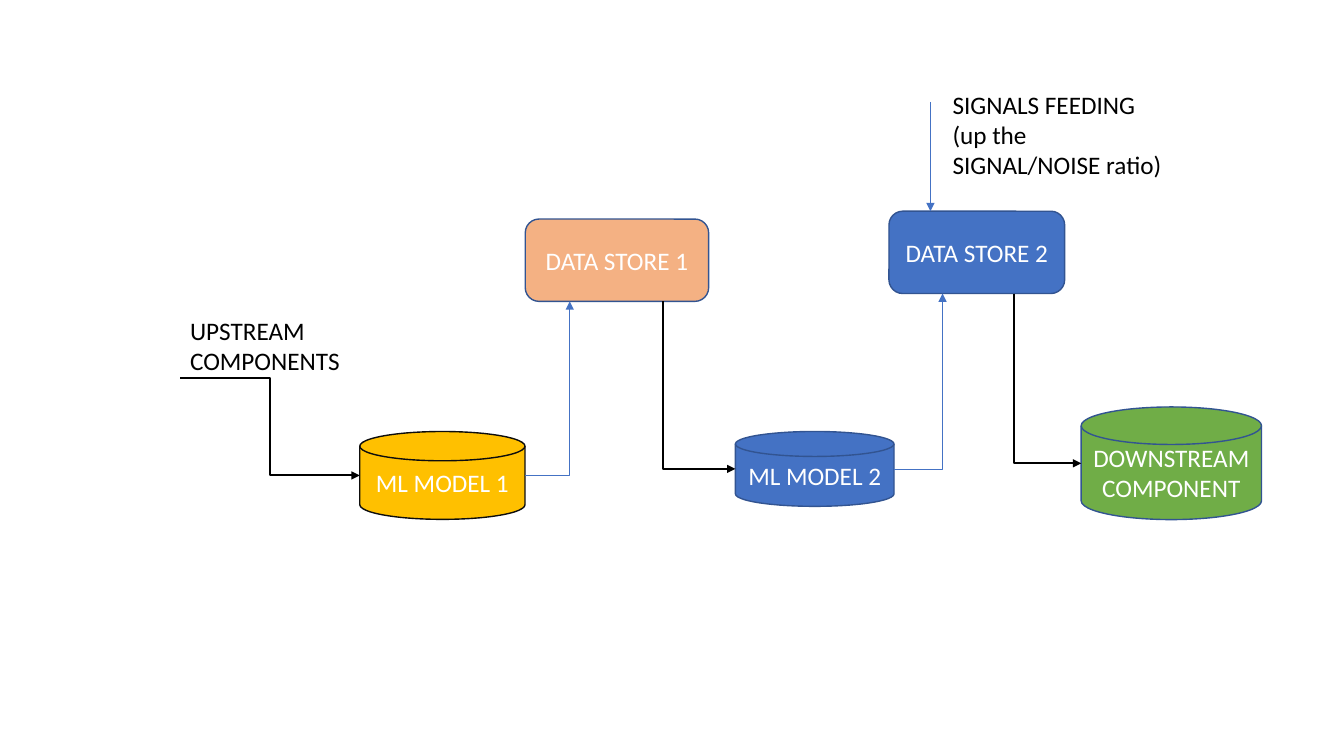
"""Draw the flow of two ML models, their data stores and the connected components."""
from dataclasses import dataclass

from lxml import etree
from pptx import Presentation
from pptx.dml.color import RGBColor
from pptx.enum.shapes import MSO_CONNECTOR, MSO_SHAPE
from pptx.enum.text import MSO_ANCHOR, PP_ALIGN
from pptx.oxml.ns import qn
from pptx.util import Pt

DISK = MSO_SHAPE.FLOWCHART_MAGNETIC_DISK
PROCESS = MSO_SHAPE.FLOWCHART_ALTERNATE_PROCESS
ROUNDED = MSO_SHAPE.ROUNDED_RECTANGLE
STRAIGHT, ELBOW = MSO_CONNECTOR.STRAIGHT, MSO_CONNECTOR.ELBOW
CENTER, LEFT = PP_ALIGN.CENTER, PP_ALIGN.LEFT
MIDDLE, TOP = MSO_ANCHOR.MIDDLE, MSO_ANCHOR.TOP

WHITE = RGBColor(0xFF, 0xFF, 0xFF)
BLACK = RGBColor(0x00, 0x00, 0x00)
INK = RGBColor(0x0D, 0x0D, 0x0D)
BLUE = RGBColor(0x44, 0x72, 0xC4)
NAVY = RGBColor(0x32, 0x54, 0x91)
GOLD = RGBColor(0xFF, 0xC0, 0x00)
PEACH = RGBColor(0xF4, 0xB1, 0x83)
GREEN = RGBColor(0x70, 0xAD, 0x47)

FONT = {"name": "Calibri", "size": Pt(18)}
Point = tuple[float, float]


@dataclass(frozen=True)
class Node:
    """A filled shape with a centred label."""
    lines: tuple[str, ...]
    left: float
    top: float
    width: float
    height: float
    kind: MSO_SHAPE
    fill: RGBColor
    outline: RGBColor = NAVY

    @property
    def middle(self) -> float:
        """Return the vertical middle."""
        return self.top + self.height / 2

    @property
    def bottom(self) -> float:
        """Return the lower edge."""
        return self.top + self.height

    @property
    def left_side(self) -> Point:
        """Return the middle of the left edge."""
        return self.left, self.middle

    @property
    def right_side(self) -> Point:
        """Return the middle of the right edge."""
        return self.left + self.width, self.middle


@dataclass(frozen=True)
class Note:
    """A plain text box."""
    lines: tuple[str, ...]
    left: float
    top: float
    width: float
    height: float


@dataclass(frozen=True)
class Arrow:
    """A connector that ends in a triangle."""
    start: Point
    end: Point
    color: RGBColor
    width: float
    preset: str = "bentConnector2"
    down_first: bool = False


MODEL_1 = Node(("ML MODEL 1",), 257, 308.2, 118, 62.8, DISK, GOLD, INK)
MODEL_2 = Node(("ML MODEL 2",), 525.3, 308.2, 113.3, 53.5, DISK, BLUE)
STORE_1 = Node(("DATA STORE 1",), 375.2, 156.5, 131, 58.8, PROCESS, PEACH)
STORE_2 = Node(("DATA STORE 2",), 635, 150.9, 125.5, 58.8, ROUNDED, BLUE)
DOWNSTREAM = Node(("DOWNSTREAM", "COMPONENT"), 772.3, 290.7, 128.8, 80.5, DISK, GREEN)
NODES = (MODEL_1, MODEL_2, STORE_1, STORE_2, DOWNSTREAM)

NOTES = (
    Note(("UPSTREAM", "COMPONENTS"), 128.7, 221.8, 129, 50.9),
    Note(("SIGNALS FEEDING (up the SIGNAL/NOISE ratio)",), 673.3, 60, 166.5, 72.7),
)
ARROWS = (
    Arrow((128.7, 270), MODEL_1.left_side, BLACK, 1.5, "bentConnector3"),
    Arrow(MODEL_1.right_side, (407, STORE_1.bottom), BLUE, 0.5),
    Arrow((473.3, STORE_1.bottom), MODEL_2.left_side, BLACK, 1.5, down_first=True),
    Arrow(MODEL_2.right_side, (673.3, STORE_2.bottom), BLUE, 0.5),
    Arrow((724.3, STORE_2.bottom), DOWNSTREAM.left_side, BLACK, 1.5, down_first=True),
    Arrow((664.6, 72.8), (664.6, STORE_2.top), BLUE, 0.5, "line"),
)


def write(shape, lines: tuple[str, ...], color: RGBColor, align: PP_ALIGN,
          anchor: MSO_ANCHOR) -> None:
    """Fill the shape with one paragraph a line."""
    frame = shape.text_frame
    frame.word_wrap = True
    frame.vertical_anchor = anchor
    frame.text = "\n".join(lines)
    for para in frame.paragraphs:
        para.alignment = align
        for span in para.runs:
            for key, value in FONT.items():
                setattr(span.font, key, value)
            span.font.color.rgb = color


def draw_node(page, node: Node) -> None:
    """Add one labelled shape."""
    box = page.shapes.add_shape(node.kind, Pt(node.left), Pt(node.top),
                                Pt(node.width), Pt(node.height))
    box.shadow.inherit = False
    box.fill.solid()
    box.fill.fore_color.rgb = node.fill
    box.line.color.rgb = node.outline
    box.line.width = Pt(1)
    write(box, node.lines, WHITE, CENTER, MIDDLE)


def draw_note(page, note: Note) -> None:
    """Add one text box."""
    box = page.shapes.add_textbox(Pt(note.left), Pt(note.top),
                                  Pt(note.width), Pt(note.height))
    write(box, note.lines, BLACK, LEFT, TOP)


def turned(start: Point, end: Point) -> tuple[Point, Point]:
    """Return the ends of a mirrored frame that a 270 degree turn sets in place."""
    center_x, center_y = (start[0] + end[0]) / 2, (start[1] + end[1]) / 2
    half_width, half_height = (end[1] - start[1]) / 2, (end[0] - start[0]) / 2
    return ((center_x + half_width, center_y - half_height),
            (center_x - half_width, center_y + half_height))


def draw_arrow(page, arrow: Arrow) -> None:
    """Add one straight or bent arrow."""
    start, end = arrow.start, arrow.end
    if arrow.down_first:
        start, end = turned(start, end)
    kind = STRAIGHT if arrow.preset == "line" else ELBOW
    link = page.shapes.add_connector(kind, *map(Pt, start + end))
    link.line.color.rgb = arrow.color
    link.line.width = Pt(arrow.width)
    properties = link._element.spPr
    properties.find(qn("a:prstGeom")).set("prst", arrow.preset)
    if arrow.down_first:
        properties.find(qn("a:xfrm")).set("rot", "16200000")
    etree.SubElement(properties.find(qn("a:ln")), qn("a:tailEnd"), type="triangle")
    etree.SubElement(properties, qn("a:effectLst"))


def main() -> None:
    """Build and save the deck."""
    deck = Presentation()
    deck.slide_width, deck.slide_height = Pt(960), Pt(540)
    page = deck.slides.add_slide(deck.slide_layouts[6])
    for node in NODES:
        draw_node(page, node)
    for arrow in ARROWS:
        draw_arrow(page, arrow)
    for note in NOTES:
        draw_note(page, note)
    deck.save("out.pptx")


main()
